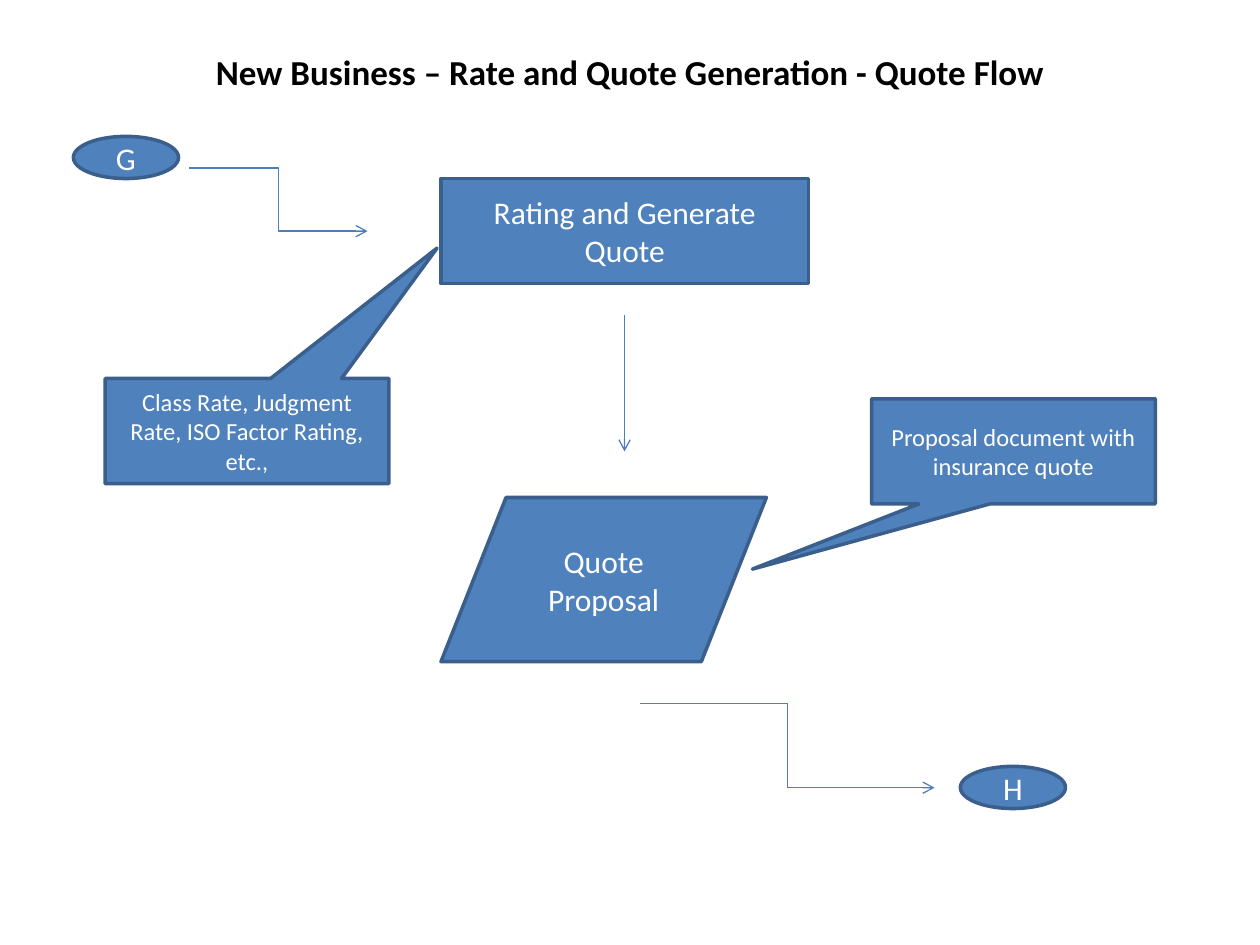
import pptx
import pptx.util
import pptx.dml.color
import pptx.enum.shapes
import pptx.enum.text
import pptx.oxml
import pptx.oxml.ns
from dataclasses import dataclass

Cm = pptx.util.Cm
Pt = pptx.util.Pt
Kind = pptx.enum.shapes.MSO_SHAPE
Bend = pptx.enum.shapes.MSO_CONNECTOR


@dataclass(frozen=True)
class Theme:
    """Colours, font and sizes of the slide."""
    font: str = "Calibri"
    fill: str = "4F81BD"
    edge: str = "3A5F8C"
    link: str = "4B7EBC"
    dark: str = "000000"
    light: str = "FFFFFF"
    title: int = 20
    step: int = 18
    note: int = 14
    rim: float = 2
    thin: float = 0.75


THEME = Theme()


def tint(code):
    """Turn a hex code into a colour."""
    return pptx.dml.color.RGBColor.from_string(code)


def write(shape, text, size=THEME.step, color=THEME.light, bold=False):
    """Put centred text into a shape."""
    frame = shape.text_frame
    frame.word_wrap = True
    frame.vertical_anchor = pptx.enum.text.MSO_ANCHOR.MIDDLE
    line = frame.paragraphs[0]
    line.alignment = pptx.enum.text.PP_ALIGN.CENTER
    run = line.add_run()
    run.text = text
    run.font.name = THEME.font
    run.font.size = Pt(size)
    run.font.bold = bold
    run.font.color.rgb = tint(color)


def node(slide, kind, box, text, tip=(), **form):
    """Draw a filled shape with text; tip moves a callout's point."""
    shape = slide.shapes.add_shape(kind, *map(Cm, box))
    shape.shadow.inherit = False
    shape.fill.solid()
    shape.fill.fore_color.rgb = tint(THEME.fill)
    shape.line.color.rgb = tint(THEME.edge)
    shape.line.width = Pt(THEME.rim)
    for spot, value in enumerate(tip):
        shape.adjustments[spot] = value
    write(shape, text, **form)


def arrow(slide, kind, start, end):
    """Draw a connector with an open arrowhead at its end."""
    link = slide.shapes.add_connector(kind, *map(Cm, (*start, *end)))
    link.line.color.rgb = tint(THEME.link)
    link.line.width = Pt(THEME.thin)
    tail = pptx.oxml.parse_xml(
        f'<a:tailEnd {pptx.oxml.ns.nsdecls("a")} type="arrow"/>')
    link.line._get_or_add_ln().append(tail)
    props = link._element.spPr
    props.append(pptx.oxml.parse_xml(
        f'<a:effectLst {pptx.oxml.ns.nsdecls("a")}/>'))


def head(slide, box):
    """Write the slide title."""
    shape = slide.shapes.add_textbox(*map(Cm, box))
    write(shape, "New Business – Rate and Quote Generation - Quote Flow",
          size=THEME.title, color=THEME.dark, bold=True)


def rating(slide, box):
    """Draw the rating step, from entry G to the arrow down."""
    x, y, wide, high = box
    left = x + wide - 7.41
    mid = left + 3.7
    node(slide, Kind.OVAL, (x, y, 2.12, 0.85), "G")
    node(slide, Kind.FLOWCHART_PROCESS, (left, y + 0.85, 7.41, 2.12),
         "Rating and Generate Quote")
    node(slide, Kind.RECTANGULAR_CALLOUT, (x + 0.64, y + 4.88, 5.72, 2.12),
         "Class Rate, Judgment Rate, ISO Factor Rating, etc.,",
         tip=(0.67, -1.74), size=THEME.note)
    arrow(slide, Bend.ELBOW, (x + 2.33, y + 0.64), (x + 5.93, y + 1.91))
    arrow(slide, Bend.STRAIGHT, (mid, y + 3.61), (mid, y + high))


def quote(slide, box):
    """Draw the proposal step, its note and exit H."""
    x, y, wide, high = box
    node(slide, Kind.FLOWCHART_DATA, (x, y + 1.99, 6.56, 3.31),
         "Quote Proposal")
    node(slide, Kind.RECTANGULAR_CALLOUT, (x + wide - 5.72, y, 5.72, 2.12),
         "Proposal document with insurance quote",
         tip=(-0.92, 1.12), size=THEME.note)
    node(slide, Kind.OVAL, (x + 10.47, y + high - 0.85, 2.12, 0.85), "H")
    arrow(slide, Bend.ELBOW, (x + 4.02, y + 6.14),
          (x + 9.95, y + high - 0.42))


def main():
    """Build and save the slide."""
    deck = pptx.Presentation()
    deck.slide_width, deck.slide_height = Cm(25.4), Cm(19.05)
    slide = deck.slides.add_slide(deck.slide_layouts[6])
    head(slide, (0.42, 0.76, 24.56, 1.35))
    rating(slide, (1.48, 2.75, 14.82, 6.35))
    quote(slide, (8.89, 8.04, 14.4, 8.26))
    deck.save("out.pptx")


main()
